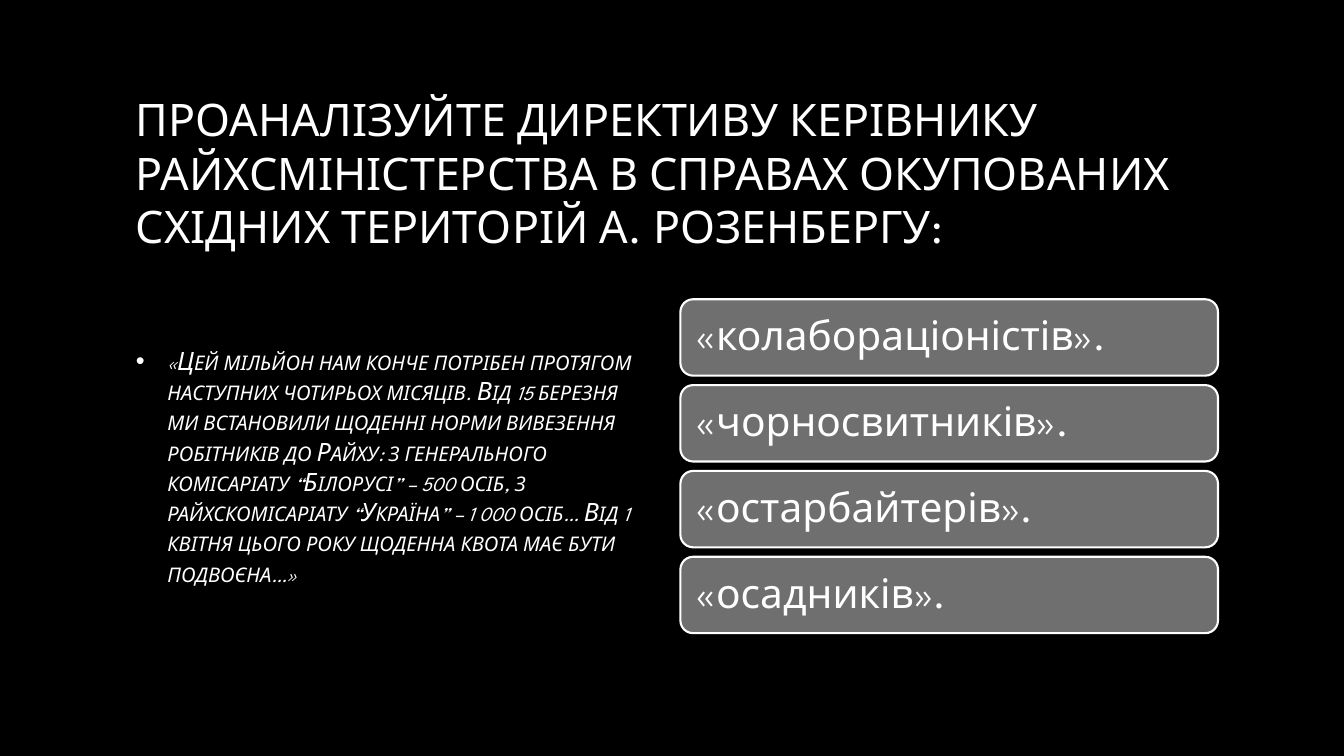
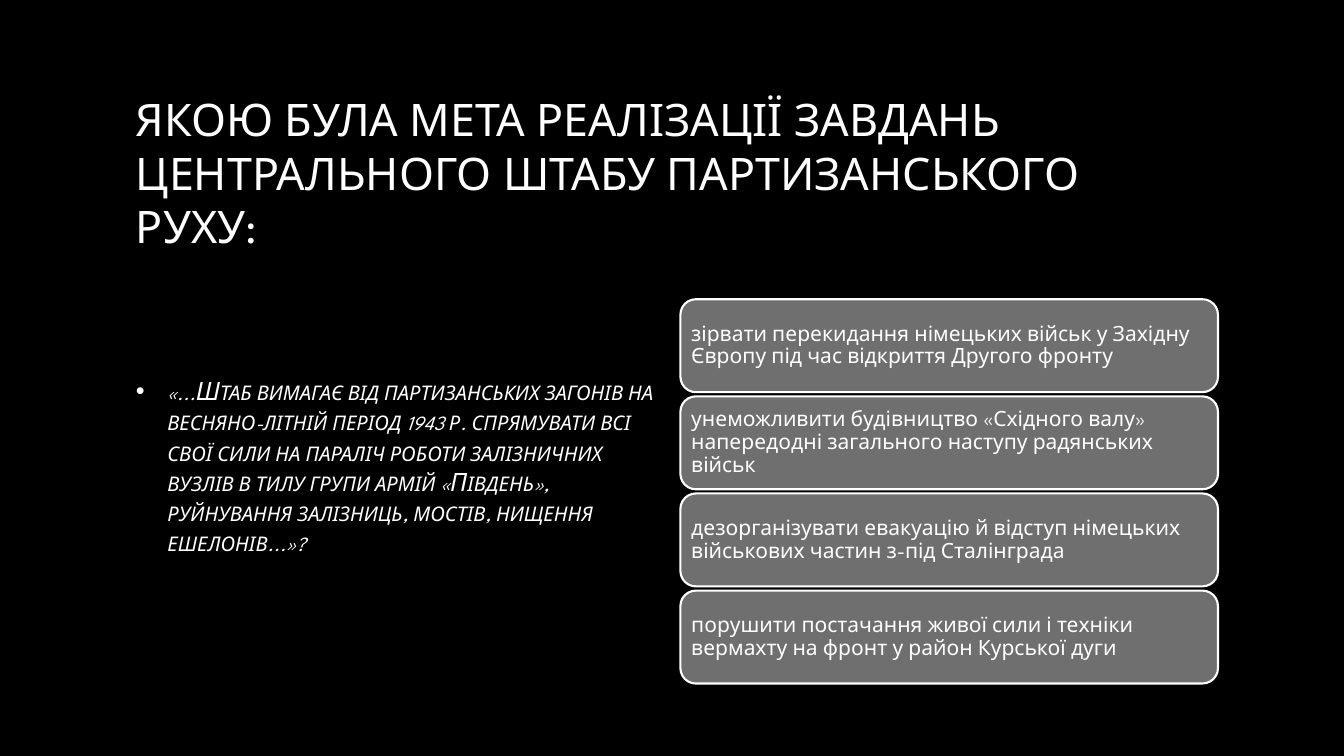
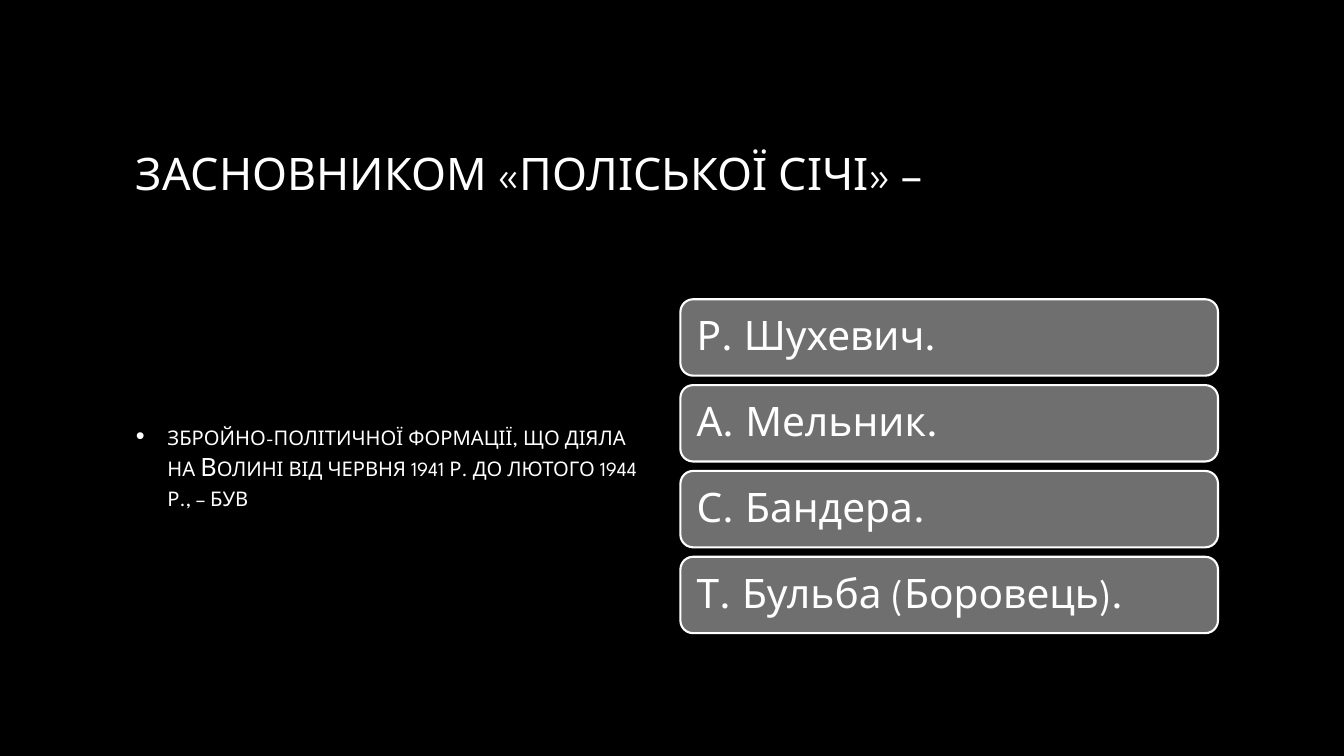
from dataclasses import dataclass

from lxml import etree
from pptx import Presentation
from pptx.dml.color import RGBColor
from pptx.enum.shapes import MSO_SHAPE
from pptx.enum.text import MSO_ANCHOR, PP_ALIGN
from pptx.oxml.ns import qn
from pptx.util import Pt

ROUND_RECT = MSO_SHAPE.ROUNDED_RECTANGLE
MIDDLE = MSO_ANCHOR.MIDDLE
LEFT = PP_ALIGN.LEFT

PX = 9525  # EMU in one px
SLIDE_W, SLIDE_H = 1280, 720


@dataclass(frozen=True)
class Theme:
    font: str = "League Spartan"
    background: str = "000000"
    text: str = "FFFFFF"
    title_fade: str = "A6A6A6"
    body_fade: str = "BFBFBF"
    card: str = "6F6F6F"
    outline: str = "FFFFFF"
    title_size: int = 32
    body_size: int = 18
    outline_width: float = 1.5
    fade_angle: int = 267


@dataclass(frozen=True)
class CardStyle:
    height: int  # of the whole stack
    gap: int
    inset: int
    size: int


THEME = Theme()
SHORT_ANSWERS = CardStyle(height=318, gap=9, inset=12, size=29)
LONG_ANSWERS = CardStyle(height=366, gap=4, inset=6, size=15)

# Regions: left, top, width, height
TITLE_BOX = (120, 64, 1040, 200)
BODY_BOX = (120, 280, 512, 328)
CARDS_LEFT, CARDS_TOP, CARDS_W = 648, 285, 512
BULLET_INDENT = 30

SLIDES = [
    dict(
        title="ПРОАНАЛІЗУЙТЕ ДИРЕКТИВУ КЕРІВНИКУ РАЙХСМІНІСТЕРСТВА В СПРАВАХ "
              "ОКУПОВАНИХ СХІДНИХ ТЕРИТОРІЙ А. РОЗЕНБЕРГУ:",
        body="«Цей мільйон нам конче потрібен протягом наступних чотирьох місяців. "
             "Від 15 березня ми встановили щоденні норми вивезення робітників до Райху: "
             "з генерального комісаріату “Білорусі” – 500 осіб, з райхскомісаріату "
             "“Україна” – 1 000 осіб… Від 1 квітня цього року щоденна квота має бути "
             "подвоєна…»",
        italic=True,
        answers=["«колабораціоністів».", "«чорносвитників».",
                 "«остарбайтерів».", "«осадників»."],
        style=SHORT_ANSWERS,
    ),
    dict(
        title="ЯКОЮ БУЛА МЕТА РЕАЛІЗАЦІЇ ЗАВДАНЬ ЦЕНТРАЛЬНОГО ШТАБУ "
              "ПАРТИЗАНСЬКОГО РУХУ:",
        body="«...Штаб вимагає від партизанських загонів на весняно-літній період "
             "1943 р. спрямувати всі свої сили на параліч роботи залізничних вузлів "
             "в тилу групи армій «Південь», руйнування залізниць, мостів, нищення "
             "ешелонів...»?",
        italic=True,
        answers=[
            "зірвати перекидання німецьких військ у Західну Європу під час "
            "відкриття Другого фронту",
            "унеможливити будівництво «Східного валу» напередодні загального "
            "наступу радянських військ",
            "дезорганізувати евакуацію й відступ німецьких військових частин "
            "з-під Сталінграда",
            "порушити постачання живої сили і техніки вермахту на фронт у район "
            "Курської дуги",
        ],
        style=LONG_ANSWERS,
    ),
    dict(
        title="ЗАСНОВНИКОМ «ПОЛІСЬКОЇ СІЧІ» –",
        body="збройно-політичної формації, що діяла на Волині від червня 1941 р. "
             "до лютого 1944 р., – був",
        italic=False,
        answers=["Р. Шухевич.", "А. Мельник.", "С. Бандера.",
                 "Т. Бульба (Боровець)."],
        style=SHORT_ANSWERS,
    ),
]


def rgb(value):
    return RGBColor.from_string(value)


def emu(*lengths):
    return [round(length * PX) for length in lengths]


def add_run(p, text, size, fade=None):
    """Add a run in the theme font, plain or fading to a second colour."""
    r = p.add_run()
    r.text = text
    r.font.name = THEME.font
    r.font.size = Pt(size)
    fill = r.font.fill
    if fade:
        fill.gradient()
        fill.gradient_angle = THEME.fade_angle
        for stop, color in zip(fill.gradient_stops, (THEME.text, fade)):
            stop.color.rgb = rgb(color)
    else:
        fill.solid()
        fill.fore_color.rgb = rgb(THEME.text)
    return r


def add_text_box(s, box):
    """Add a wrapping, vertically centred box and return its paragraph."""
    tf = s.shapes.add_textbox(*emu(*box)).text_frame
    tf.word_wrap = True
    tf.vertical_anchor = MIDDLE
    return tf.paragraphs[0]


def set_bullet(p):
    pPr = p._p.get_or_add_pPr()
    indent = BULLET_INDENT * PX
    pPr.set("marL", str(indent))
    pPr.set("indent", str(-indent))
    color = etree.SubElement(pPr, qn("a:buClr"))
    etree.SubElement(color, qn("a:srgbClr"), val=THEME.text)
    etree.SubElement(pPr, qn("a:buFont"), typeface="Arial")
    etree.SubElement(pPr, qn("a:buChar"), char="•")


def add_title(s, box, text):
    add_run(add_text_box(s, box), text, THEME.title_size, THEME.title_fade)


def add_body(s, box, text, italic):
    p = add_text_box(s, box)
    set_bullet(p)
    p.space_after = Pt(6)
    r = add_run(p, text, THEME.body_size, THEME.body_fade)
    r.font.italic = italic
    r.font._element.set("cap", "small")


def add_card(s, box, text, style):
    sp = s.shapes.add_shape(ROUND_RECT, *emu(*box))
    sp.shadow.inherit = False
    sp.fill.solid()
    sp.fill.fore_color.rgb = rgb(THEME.card)
    sp.line.color.rgb = rgb(THEME.outline)
    sp.line.width = Pt(THEME.outline_width)
    tf = sp.text_frame
    tf.word_wrap = True
    tf.vertical_anchor = MIDDLE
    tf.margin_left = tf.margin_right = style.inset * PX
    tf.margin_top = tf.margin_bottom = style.inset * PX
    p = tf.paragraphs[0]
    p.alignment = LEFT
    p.line_spacing = 0.9
    add_run(p, text, style.size)


def add_answers(s, box, answers, style):
    """Stack equal cards so that they fill the box."""
    left, top, width, height = box
    count = len(answers)
    card_h = (height - style.gap * (count - 1)) / count
    for i, text in enumerate(answers):
        card_top = top + i * (card_h + style.gap)
        add_card(s, (left, card_top, width, card_h), text, style)


def add_question_slide(prs, title, body, italic, answers, style):
    s = prs.slides.add_slide(prs.slide_layouts[6])
    s.background.fill.solid()
    s.background.fill.fore_color.rgb = rgb(THEME.background)
    # Question on top, quotation on the left, answers on the right
    add_title(s, TITLE_BOX, title)
    add_body(s, BODY_BOX, body, italic)
    add_answers(s, (CARDS_LEFT, CARDS_TOP, CARDS_W, style.height), answers, style)


def main():
    prs = Presentation()
    prs.slide_width, prs.slide_height = emu(SLIDE_W, SLIDE_H)
    for content in SLIDES:
        add_question_slide(prs, **content)
    prs.save("out.pptx")


if __name__ == "__main__":
    main()
